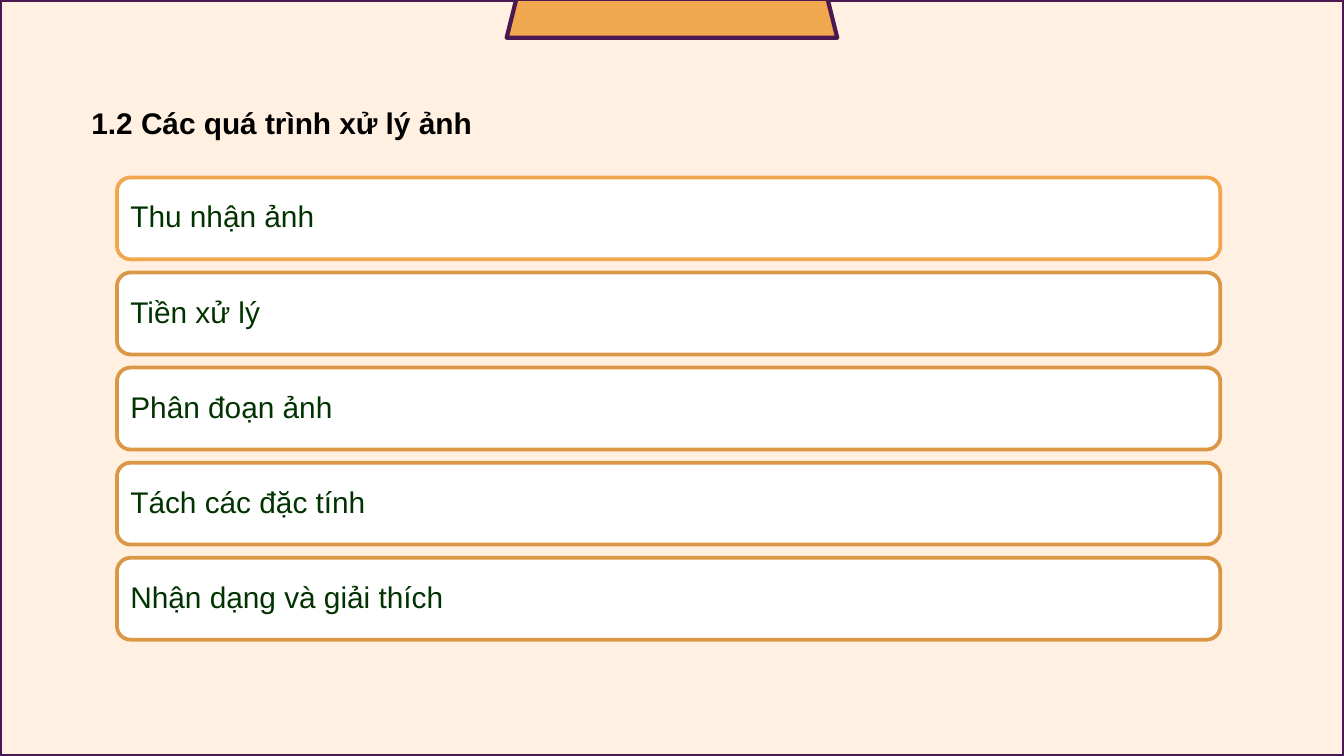
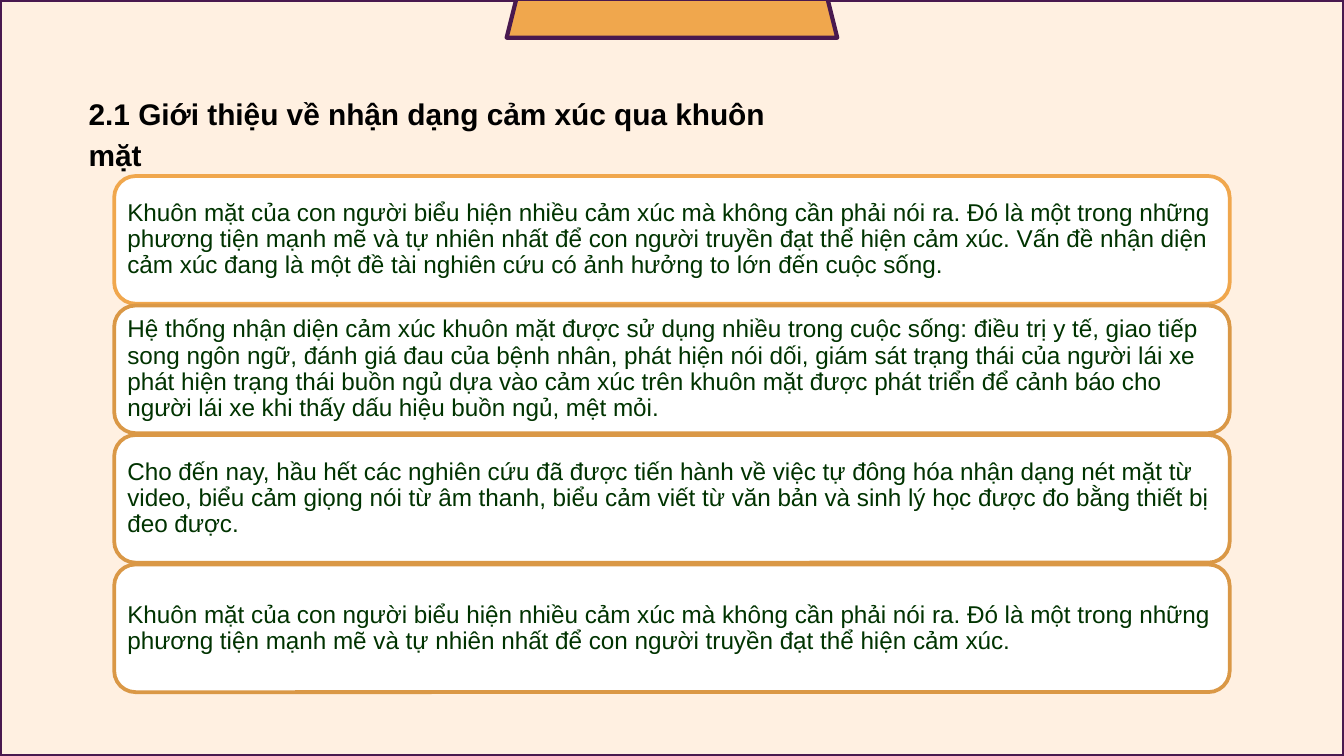
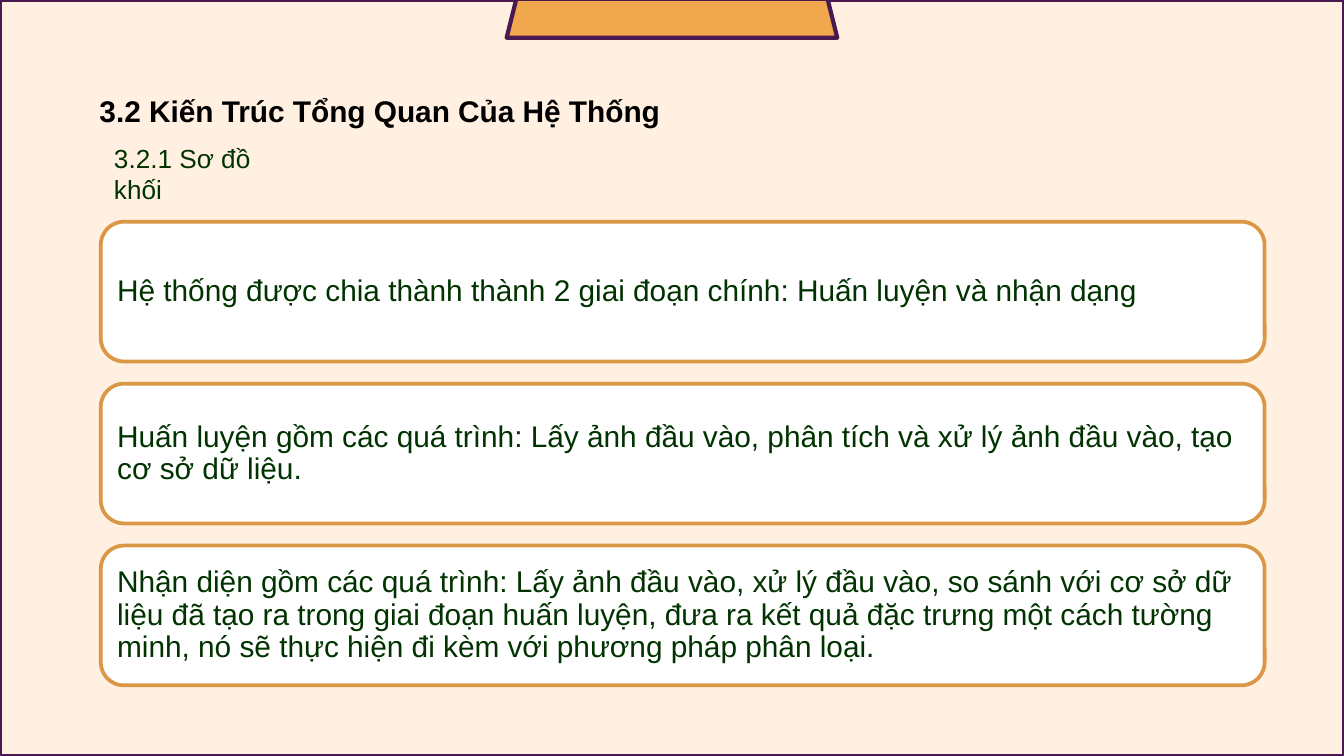
from pptx import Presentation
from pptx.dml.color import RGBColor as RGB
from pptx.enum.shapes import MSO_SHAPE as Shape
from pptx.enum.text import MSO_ANCHOR as Anchor, MSO_AUTO_SIZE as Auto, PP_ALIGN as Align
from pptx.util import Inches, Pt


class Theme:
    font = "Arial"
    page = RGB.from_string("FFF0E1")
    plum = RGB.from_string("49194F")
    gold = RGB.from_string("F0A74D")
    ochre = RGB.from_string("DA9846")
    card = RGB.from_string("FFFFFF")
    head = RGB.from_string("000000")
    body = RGB.from_string("003300")
    big, mid, small = 16, 14, 13
    edge, rim = 2.25, 2


WIDE = 10
HIGH = WIDE * 9 / 16

# Content: "title" is (text, left, top, width); "stack" is
# (left, first top, last top, width, card height)
SLIDES = [
    {
        "title": ("1.2 Các quá trình xử lý ảnh", 0.58, 0.64, 4.39),
        "stack": (0.87, 1.32, 4.15, 8.21, 0.61),
        "first": Theme.gold, "size": Theme.big, "pad": 0.07,
        "cards": [
            "Thu nhận ảnh",
            "Tiền xử lý",
            "Phân đoạn ảnh",
            "Tách các đặc tính",
            "Nhận dạng và giải thích",
        ],
    },
    {
        "title": ("2.1 Giới thiệu về nhận dạng cảm xúc qua khuôn mặt", 0.56, 0.57, 5.59),
        "stack": (0.85, 1.31, 4.2, 8.3, 0.95),
        "first": Theme.gold, "size": Theme.small, "pad": 0.05,
        "cards": [
            "Khuôn mặt của con người biểu hiện nhiều cảm xúc mà không cần phải nói ra. "
            "Đó là một trong những phương tiện mạnh mẽ và tự nhiên nhất để con người "
            "truyền đạt thể hiện cảm xúc. Vấn đề nhận diện cảm xúc đang là một đề tài "
            "nghiên cứu có ảnh hưởng to lớn đến cuộc sống.",
            "Hệ thống nhận diện cảm xúc khuôn mặt được sử dụng nhiều trong cuộc sống: "
            "điều trị y tế, giao tiếp song ngôn ngữ, đánh giá đau của bệnh nhân, phát "
            "hiện nói dối, giám sát trạng thái của người lái xe phát hiện trạng thái "
            "buồn ngủ dựa vào cảm xúc trên khuôn mặt được phát triển để cảnh báo cho "
            "người lái xe khi thấy dấu hiệu buồn ngủ, mệt mỏi.",
            "Cho đến nay, hầu hết các nghiên cứu đã được tiến hành về việc tự đông hóa "
            "nhận dạng nét mặt từ video, biểu cảm giọng nói từ âm thanh, biểu cảm viết "
            "từ văn bản và sinh lý học được đo bằng thiết bị đeo được.",
            "Khuôn mặt của con người biểu hiện nhiều cảm xúc mà không cần phải nói ra. "
            "Đó là một trong những phương tiện mạnh mẽ và tự nhiên nhất để con người "
            "truyền đạt thể hiện cảm xúc.",
        ],
    },
    {
        "title": ("3.2 Kiến Trúc Tổng Quan Của Hệ Thống", 0.64, 0.55, 4.39),
        "label": ("3.2.1 Sơ đồ khối", 0.75, 1.01, 1.5),
        "stack": (0.75, 1.65, 4.06, 8.66, 1.04),
        "first": Theme.ochre, "size": Theme.big, "pad": 0.07,
        "cards": [
            "Hệ thống được chia thành thành 2 giai đoạn chính: Huấn luyện và nhận dạng",
            "Huấn luyện gồm các quá trình: Lấy ảnh đầu vào, phân tích và xử lý ảnh đầu "
            "vào, tạo cơ sở dữ liệu.",
            "Nhận diện gồm các quá trình: Lấy ảnh đầu vào, xử lý đầu vào, so sánh với cơ "
            "sở dữ liệu đã tạo ra trong giai đoạn huấn luyện, đưa ra kết quả đặc trưng "
            "một cách tường minh, nó sẽ thực hiện đi kèm với phương pháp phân loại.",
        ],
    },
]


# Helpers
def box(x, y, w, h):
    return [Inches(v) for v in (x, y, w, h)]


def draw(slide, kind, area, fill, line, width):
    shape = slide.shapes.add_shape(kind, *box(*area))
    shape.shadow.inherit = False
    if fill is None:
        shape.fill.background()
    else:
        shape.fill.solid()
        shape.fill.fore_color.rgb = fill
    shape.line.color.rgb = line
    shape.line.width = Pt(width)
    return shape


def write(frame, text, size, color, bold=False, pad=(0.1, 0.05), lead=1.0,
          after=0, anchor=Anchor.TOP):
    frame.auto_size = Auto.NONE
    frame.word_wrap = True
    frame.vertical_anchor = anchor
    frame.margin_left = frame.margin_right = Inches(pad[0])
    frame.margin_top = frame.margin_bottom = Inches(pad[1])
    para = frame.paragraphs[0]
    para.alignment = Align.LEFT
    para.line_spacing = lead
    para.space_before = Pt(0)
    para.space_after = Pt(after)
    run = para.add_run()
    run.text = text
    run.font.name = Theme.font
    run.font.size = Pt(size)
    run.font.bold = bold
    run.font.color.rgb = color


# Slide parts
def add_frame(slide):
    draw(slide, Shape.RECTANGLE, (0, 0, WIDE, HIGH), None, Theme.plum, Theme.edge)
    draw(slide, Shape.TRAPEZOID, (3.77, -0.01, 2.46, 0.29),
         Theme.gold, Theme.plum, Theme.edge)


def add_title(slide, text, x, y, w):
    title = slide.shapes.title
    title.left, title.top, title.width, title.height = box(x, y, w, 0.63)
    write(title.text_frame, text, Theme.big, Theme.head, bold=True,
          pad=(0.1, 0.1), lead=1.15, after=8)


def add_label(slide, text, x, y, w):
    label = slide.shapes.add_textbox(*box(x, y, w, 0.34))
    write(label.text_frame, text, Theme.mid, Theme.body)


def add_cards(slide, data):
    x, top, last, w, h = data["stack"]
    cards, pad = data["cards"], data["pad"]
    step = (last - top) / (len(cards) - 1)
    inset = 0.05 * h  # keeps the text clear of the round corners
    for i, text in enumerate(cards):
        y = top + i * step
        rim = Theme.ochre if i else data["first"]
        draw(slide, Shape.ROUNDED_RECTANGLE, (x, y, w, h), Theme.card, rim, Theme.rim)
        area = (x + inset, y + inset, w - 2 * inset, h - 2 * inset)
        note = slide.shapes.add_textbox(*box(*area))
        write(note.text_frame, text, data["size"], Theme.body,
              pad=(pad, pad), lead=0.9, anchor=Anchor.MIDDLE)


def main():
    deck = Presentation()
    deck.slide_width, deck.slide_height = Inches(WIDE), Inches(HIGH)
    back = deck.slide_master.background.fill
    back.solid()
    back.fore_color.rgb = Theme.page
    for data in SLIDES:
        slide = deck.slides.add_slide(deck.slide_layouts[5])
        add_frame(slide)
        add_title(slide, *data["title"])
        if "label" in data:
            add_label(slide, *data["label"])
        add_cards(slide, data)
    deck.save("out.pptx")


if __name__ == "__main__":
    main()
